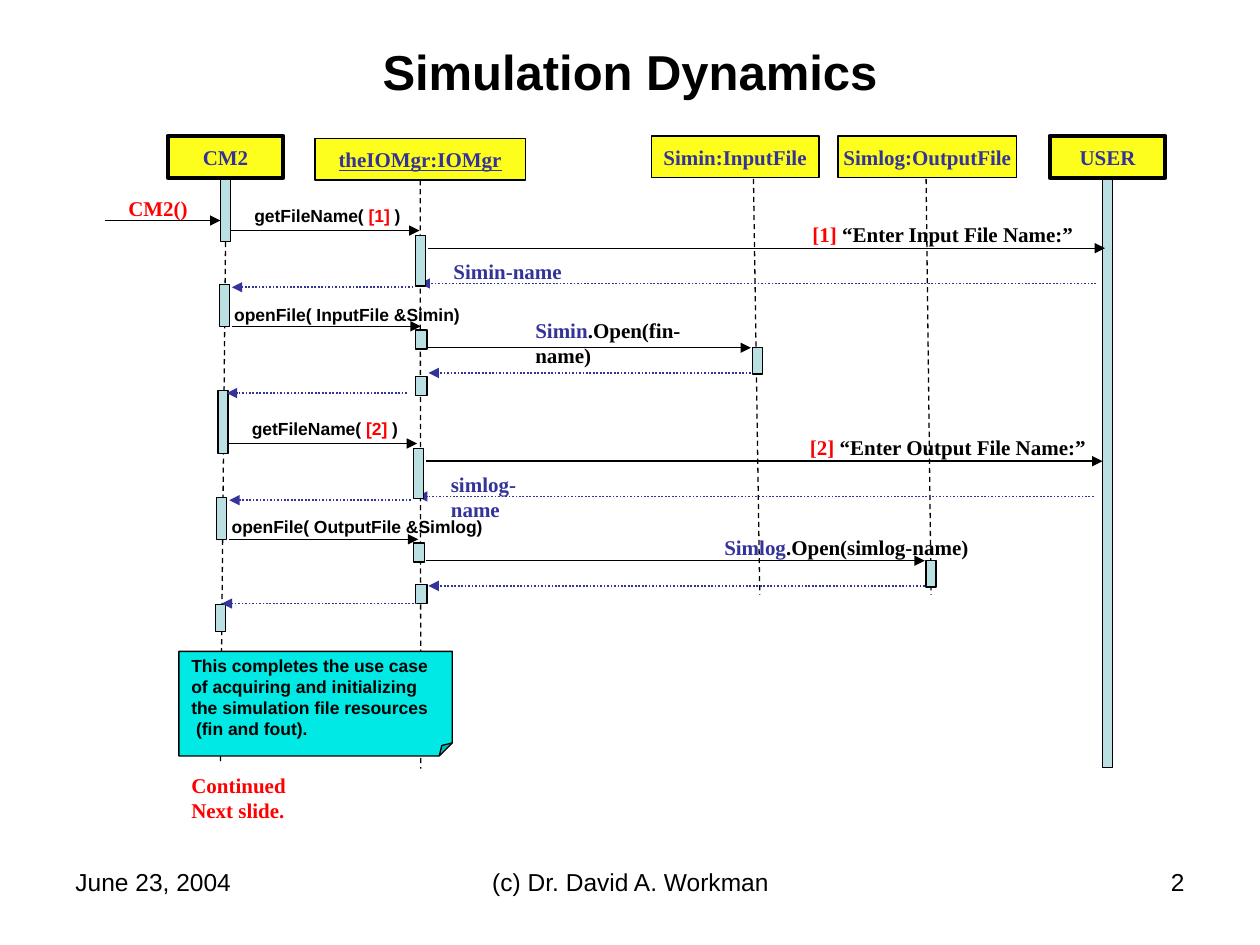
from lxml import etree
from pptx import Presentation
from pptx import util as u
from pptx.dml.color import RGBColor
from pptx.enum import dml, shapes, text
from pptx.oxml import ns

PX = u.Inches(1) // 100

BLACK = RGBColor(0x00, 0x00, 0x00)
RED = RGBColor(0xFF, 0x00, 0x00)
INDIGO = RGBColor(0x33, 0x33, 0x99)
YELLOW = RGBColor(0xFE, 0xFE, 0x1C)
PALE_BLUE = RGBColor(0xBB, 0xE0, 0xE3)
CYAN = RGBColor(0x00, 0xE9, 0xE4)

SERIF, SANS = "Times New Roman", "Arial"
LEFT, CENTER, RIGHT = (text.PP_ALIGN.LEFT, text.PP_ALIGN.CENTER,
                       text.PP_ALIGN.RIGHT)


def write(shape, *paragraphs, size=12, font=SERIF, bold=True, underline=None,
          align=LEFT, anchor=text.MSO_ANCHOR.TOP, wrap=False):
    """Fill a shape; each paragraph is a list of (words, colour) spans."""
    frame = shape.text_frame
    frame.word_wrap = wrap
    frame.vertical_anchor = anchor
    for index, spans in enumerate(paragraphs):
        para = frame.add_paragraph() if index else frame.paragraphs[0]
        para.alignment = align
        for words, color in spans:
            for number, line in enumerate(words.split("\v")):
                if number:
                    para.add_line_break()
                span = para.add_run()
                span.text = line
                span.font.size = u.Pt(size)
                span.font.name = font
                span.font.bold = bold
                span.font.underline = underline
                span.font.color.rgb = color


def add_label(page, left, top, width, height, *paragraphs, grow=True, **style):
    box = page.shapes.add_textbox(left * PX, top * PX, width * PX, height * PX)
    write(box, *paragraphs, **style)
    if grow:
        box.text_frame.auto_size = text.MSO_AUTO_SIZE.SHAPE_TO_FIT_TEXT


def add_box(page, left, top, width, height, fill, line=0.75):
    box = page.shapes.add_shape(shapes.MSO_SHAPE.RECTANGLE, left * PX,
                                top * PX, width * PX, height * PX)
    box.shadow.inherit = False
    box.fill.solid()
    box.fill.fore_color.rgb = fill
    box.line.color.rgb = BLACK
    box.line.width = u.Pt(line)
    return box


def fold_corner(box, share):
    """Turn a rectangle into foldedCorner, which MSO_SHAPE misspells."""
    geometry = box.element.spPr.find(ns.qn("a:prstGeom"))
    geometry.set("prst", "foldedCorner")
    etree.SubElement(geometry.find(ns.qn("a:avLst")), ns.qn("a:gd"),
                     name="adj", fmla=f"val {round(share * 100000)}")


def add_activation(page, left, top, height, width=8):
    return add_box(page, left, top, width, height, PALE_BLUE)


def add_line(page, start, end, color=BLACK, width=0.75, dash=None, arrow=True):
    line = page.shapes.add_connector(
        shapes.MSO_CONNECTOR.STRAIGHT, *(n * PX for n in (*start, *end)))
    line.line.color.rgb = color
    line.line.width = u.Pt(width)
    if dash:
        line.line.dash_style = dash
    properties = line.element.spPr
    if arrow:
        etree.SubElement(properties.find(ns.qn("a:ln")), ns.qn("a:tailEnd"),
                         type="triangle")
    etree.SubElement(properties, ns.qn("a:effectLst"))
    return line


def add_reply(page, start, end):
    add_line(page, start, end, INDIGO, 1, dml.MSO_LINE.ROUND_DOT)


def add_participants(page, top):
    """Draw the header boxes and lifelines, and the first activations."""
    headers = {}
    for name, left, drop, width, line in (
            ("CM2", 133, 0, 92, 2.25), ("theIOMgr:IOMgr", 250, 2, 167, 0.75),
            ("Simin:InputFile", 517, 0, 133, 0.75),
            ("Simlog:OutputFile", 665, 0, 142, 0.75),
            ("USER", 833, 0, 92, 2.25)):
        box = add_box(page, left, top + drop, width, 33, YELLOW, line)
        write(box, [(name, INDIGO)], align=CENTER,
              anchor=text.MSO_ANCHOR.MIDDLE,
              underline=name == "theIOMgr:IOMgr" or None)
        headers[name] = box

    lifelines = [
        add_line(page, (x1, top + y1), (x2, top + y2),
                 dash=dml.MSO_LINE.DASH, arrow=False)
        for x1, y1, x2, y2 in ((179, 84, 175, 496), (333, 35, 334, 502),
                               (598, 34, 603, 364), (735, 34, 739, 364))]
    add_activation(page, 875, top + 34, 467)
    start = add_activation(page, 175, top + 34, 50)
    lifelines[0].begin_connect(start, 2)
    lifelines[1].begin_connect(headers["theIOMgr:IOMgr"], 2)


def add_name_request(page, left, top, number, prompt, prompt_width, reply,
                     call, call_width):
    """Draw getFileName, the user's answer and the openFile call after it."""
    def at(x, y):
        return left + x, top + y

    add_line(page, at(9, 25), at(159, 25))
    add_line(page, at(166, 39), at(703, 39))
    add_reply(page, at(696, 67), at(159, 67))
    add_reply(page, at(154, 70), at(10, 70))
    add_line(page, at(10, 101), at(160, 101))

    add_activation(page, *at(156, 29), 40)
    add_activation(page, *at(0, 68), 33)
    add_activation(page, *at(156, 104), 15, width=9)

    mark = f"[{number}]"
    add_label(page, *at(18, 0), 136, 27,
              [("getFileName( ", BLACK), (mark, RED), (" )", BLACK)],
              size=10, font=SANS)
    add_label(page, *at(461, 13), prompt_width, 30,
              [(mark, RED), (f" “{prompt}”", BLACK)])
    add_label(page, *at(176, 42), 108, 30, [(reply, INDIGO)])
    add_label(page, *at(2, 78), call_width, 27, [(call, BLACK)],
              size=10, font=SANS)


def add_file_opening(page, top, file_left, label, reply_top, return_ends,
                     caller):
    """Draw the Open call to a file and the replies back to CM2."""
    left, rise, width, name, argument = label
    add_line(page, (338, top), (file_left - 1, top))
    add_reply(page, (file_left - 1, top + 20), (340, top + 20))
    add_activation(page, file_left, top, 21)
    add_activation(page, 330, reply_top, 15, width=9)
    add_activation(page, *caller)
    start, end, y = return_ends
    add_reply(page, (start, y), (end, y))
    add_label(page, left, top - rise, width, 30,
              [(name, INDIGO), (f".Open({argument})", BLACK)])


def add_closing(page, left, top):
    note = add_box(page, left, top, 217, 83, CYAN)
    fold_corner(note, 0.125)
    write(note, [("This completes the use case\vof acquiring and initializing\v"
                  "the simulation file resources\v (fin and fout).", BLACK)],
          size=10, font=SANS, anchor=text.MSO_ANCHOR.MIDDLE)
    add_label(page, left, top + 91, 95, 50,
              [("Continued", RED)], [("Next slide.", RED)])


def add_footer(page, top):
    for words, left, width, align in (
            ("June 23, 2004", 50, 233, LEFT),
            ("(c) Dr. David A. Workman", 342, 317, CENTER),
            ("2", 717, 233, RIGHT)):
        add_label(page, left, top, width, 52, [(words, BLACK)], size=14,
                  font=SANS, bold=False, align=align, wrap=True, grow=False)


def main():
    deck = Presentation()
    deck.slide_width, deck.slide_height = 1000 * PX, 750 * PX
    page = deck.slides.add_slide(deck.slide_layouts[6])

    add_label(page, 50, 30, 900, 53, [("Simulation Dynamics", BLACK)],
              size=28, font=SANS, align=CENTER, wrap=True, grow=False,
              anchor=text.MSO_ANCHOR.MIDDLE)
    add_participants(page, 108)
    add_line(page, (83, 175), (175, 175))
    add_label(page, 92, 150, 67, 30, [("CM2()", RED)])

    add_name_request(page, 174, 158, 1, "Enter Input File Name:", 227,
                     "Simin-name", "openFile( InputFile &Simin)", 199)
    add_file_opening(page, 276, 597, (415, 29, 179, "Simin", "fin-name"),
                     299, (323, 180, 312), (173, 310, 50))
    add_name_request(page, 172, 327, 2, "Enter Output File Name:", 239,
                     "simlog-name", "openFile( OutputFile &Simlog)", 219)
    add_file_opening(page, 445, 735, (565, 26, 214, "Simlog", "simlog-name"),
                     464, (331, 176, 479), (171, 480, 21))

    add_closing(page, 142, 517)
    add_footer(page, 683)
    deck.save("out.pptx")


if __name__ == "__main__":
    main()
